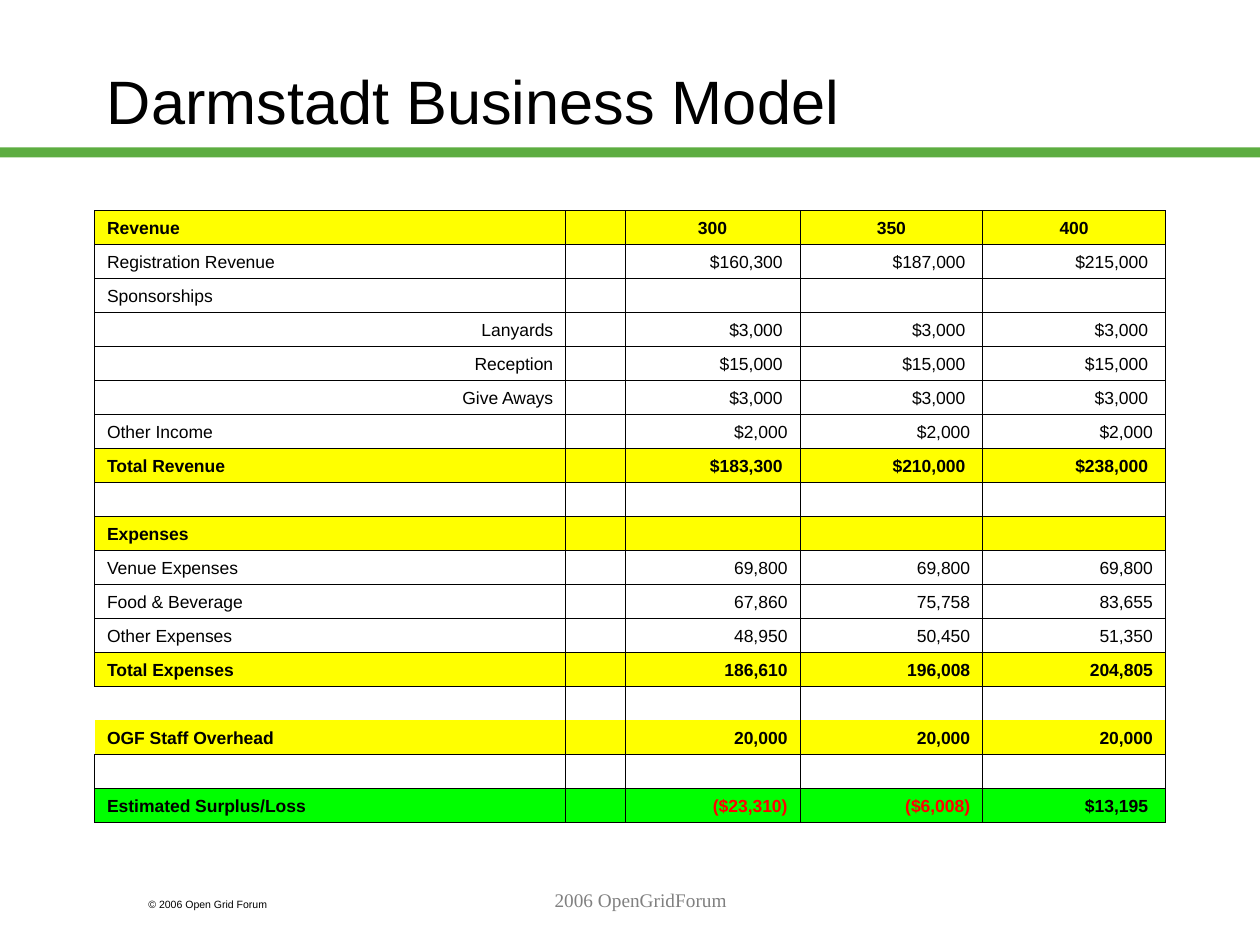
import pptx
import pptx.dml.color
import pptx.enum.shapes
import pptx.enum.text
import pptx.oxml.ns
import pptx.util
from lxml import etree

Inches, Pt = pptx.util.Inches, pptx.util.Pt
RGBColor = pptx.dml.color.RGBColor
ALIGN = pptx.enum.text.PP_ALIGN
ANCHOR = pptx.enum.text.MSO_ANCHOR
qn = pptx.oxml.ns.qn

BLACK = RGBColor(0x00, 0x00, 0x00)
GREY = RGBColor(0x80, 0x80, 0x80)
RED = RGBColor(0xFF, 0x00, 0x00)
RULE_GREEN = RGBColor(0x5D, 0xAD, 0x41)
YELLOW = RGBColor(0xFF, 0xFF, 0x00)
LIME = RGBColor(0x00, 0xFF, 0x00)

BORDER_WIDTH = Pt(0.45)
ROW_HEIGHT = 0.27
COLUMN_WIDTHS = [3.74, 0.47, 1.39, 1.45, 1.45]

# Label, the values for 300, 350 and 400 attendees, and the kind of row
ROWS = [
    ("Revenue", ("300", "350", "400"), "header"),
    ("Registration Revenue", ("$160,300 ", "$187,000 ", "$215,000 "), "item"),
    ("Sponsorships", ("", "", ""), "item"),
    ("Lanyards", ("$3,000 ",) * 3, "subitem"),
    ("Reception", ("$15,000 ",) * 3, "subitem"),
    ("Give Aways", ("$3,000 ",) * 3, "subitem"),
    ("Other Income", ("$2,000",) * 3, "item"),
    ("Total Revenue", ("$183,300 ", "$210,000 ", "$238,000 "), "total"),
    ("", ("", "", ""), "item"),
    ("Expenses", ("", "", ""), "header"),
    ("Venue Expenses", ("69,800",) * 3, "item"),
    ("Food & Beverage", ("67,860", "75,758", "83,655"), "item"),
    ("Other Expenses", ("48,950", "50,450", "51,350"), "item"),
    ("Total Expenses", ("186,610", "196,008", "204,805"), "total"),
    ("", ("", "", ""), "item"),
    ("OGF Staff Overhead", ("20,000",) * 3, "total"),
    ("", ("", "", ""), "item"),
    ("Estimated Surplus/Loss", ("($23,310)", "($6,008)", "$13,195 "), "result"),
]
FILLS = {"header": YELLOW, "total": YELLOW, "result": LIME}
OPEN_ROW = 14  # the gap above the overhead row has no line below it


def write_text(tf, text, size=10, font="Arial", color=BLACK, bold=False,
               align=ALIGN.LEFT):
    p = tf.paragraphs[0]
    p.alignment = align
    if not text:
        # keeps an empty cell from growing to the default text size
        p._p.get_or_add_endParaRPr().set("sz", str(size * 100))
        return
    r = p.add_run()
    r.text = text
    r.font.size = Pt(size)
    r.font.name = font
    r.font.bold = bold
    r.font.color.rgb = color


def add_text(slide, box, text, anchor=ANCHOR.TOP, **fmt):
    sp = slide.shapes.add_textbox(*map(Inches, box))
    tf = sp.text_frame
    tf.word_wrap = True
    tf.vertical_anchor = anchor
    write_text(tf, text, **fmt)


def add_rule(slide, box):
    sp = slide.shapes.add_shape(pptx.enum.shapes.MSO_SHAPE.RECTANGLE,
                                *map(Inches, box))
    sp.shadow.inherit = False
    sp.fill.solid()
    sp.fill.fore_color.rgb = RULE_GREEN
    sp.line.fill.background()


def set_borders(cell, missing):
    """Draw thin black lines on every side but the missing ones."""
    tc_pr = cell._tc.get_or_add_tcPr()
    for side in "LRTB":
        ln = etree.SubElement(tc_pr, qn("a:ln" + side), w=str(BORDER_WIDTH))
        if side in missing:
            etree.SubElement(ln, qn("a:noFill"))
        else:
            fill = etree.SubElement(ln, qn("a:solidFill"))
            etree.SubElement(fill, qn("a:srgbClr"), val=str(BLACK))


def missing_borders(row, col):
    missing = {OPEN_ROW: "B", OPEN_ROW + 1: "T"}.get(row, "")
    return missing + "L" if missing and col == 0 else missing


def cell_alignment(kind, col):
    if col == 0:
        return ALIGN.RIGHT if kind == "subitem" else ALIGN.LEFT
    return ALIGN.CENTER if kind == "header" else ALIGN.RIGHT


def add_budget_table(slide, left, top):
    table = slide.shapes.add_table(
        len(ROWS), len(COLUMN_WIDTHS), Inches(left), Inches(top),
        Inches(sum(COLUMN_WIDTHS)), Inches(ROW_HEIGHT * len(ROWS))).table
    table.first_row = table.horz_banding = False
    for column, width in zip(table.columns, COLUMN_WIDTHS):
        column.width = Inches(width)
    for i, (label, values, kind) in enumerate(ROWS):
        table.rows[i].height = Inches(ROW_HEIGHT)
        for j, text in enumerate((label, "", *values)):
            cell = table.cell(i, j)
            cell.vertical_anchor = ANCHOR.BOTTOM
            set_borders(cell, missing_borders(i, j))
            if kind in FILLS:
                cell.fill.solid()
                cell.fill.fore_color.rgb = FILLS[kind]
            else:
                cell.fill.background()
            write_text(cell.text_frame, text, bold=kind in FILLS,
                       color=RED if text.startswith("(") else BLACK,
                       align=cell_alignment(kind, j))


def add_header(slide):
    add_rule(slide, (0, 1.17, 10, 0.08))
    add_text(slide, (0.75, 0.17, 8.5, 1.25), "Darmstadt Business Model",
             anchor=ANCHOR.MIDDLE, size=35)


def add_footer(slide):
    add_text(slide, (1.08, 7.08, 1.5, 0.2), "© 2006 Open Grid Forum", size=6)
    add_text(slide, (2.17, 7, 5.83, 0.5), "2006 OpenGridForum", size=11,
             font="Times New Roman", color=GREY, align=ALIGN.CENTER)


def main():
    prs = pptx.Presentation()
    prs.slide_width, prs.slide_height = Inches(10), Inches(7.5)
    slide = prs.slides.add_slide(prs.slide_layouts[6])
    add_header(slide)
    add_budget_table(slide, 0.75, 1.67)
    add_footer(slide)
    prs.save("out.pptx")


if __name__ == "__main__":
    main()
